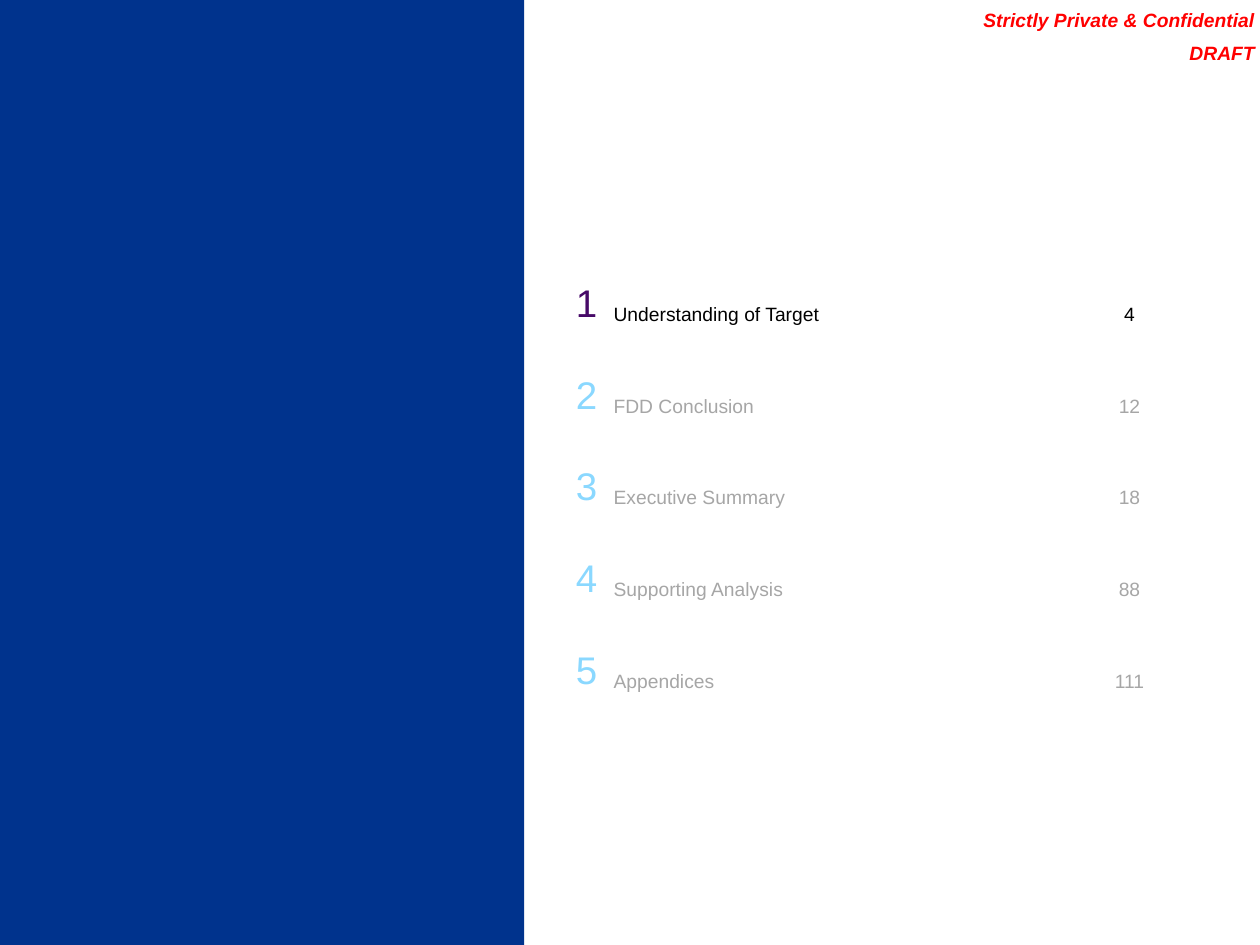
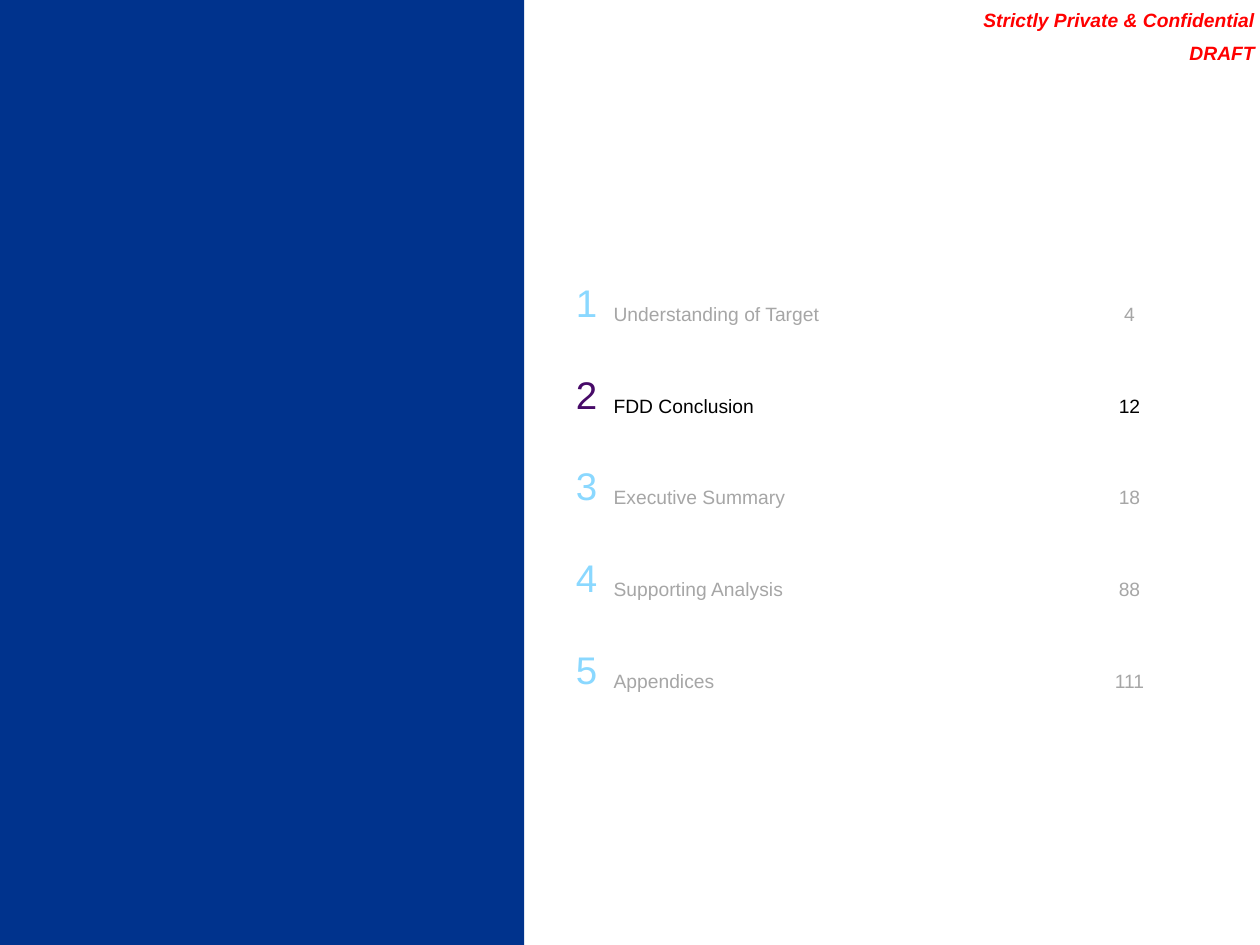
from typing import Any, NamedTuple

import pptx
import pptx.dml.color
import pptx.enum.shapes
import pptx.enum.text
import pptx.util

ALIGN = pptx.enum.text.PP_ALIGN
ANCHOR = pptx.enum.text.MSO_ANCHOR
FONT = "Arial"
WIDTH, HEIGHT = pptx.util.Inches(10), pptx.util.Inches(7.5)
COLS, ROWS = 100, 75

NAVY, RED, WHITE = "00338D", "FF0000", "FFFFFF"
PURPLE, SKY = "470A68", "8AD8FF"
BLACK, GRAY = "000000", "A6A6A6"

BAND_COLS = 41.6
NOTICE = ("Strictly Private & Confidential", "DRAFT")
AGENDA_LEFT, AGENDA_TOP, AGENDA_ROW = 43.1, 20.5, 7.28


class Column(NamedTuple):
    width: float
    insets: tuple[float, float, float, float]
    align: Any
    size: int
    active: str
    muted: str


class Topic(NamedTuple):
    title: str
    page: int


COLUMNS = (
    Column(5.2, (0.9, 0.5, 0.9, 0.5), ALIGN.RIGHT, 22, PURPLE, SKY),
    Column(38.9, (0.4, 2.2, 0, 0.5), ALIGN.LEFT, 11, BLACK, GRAY),
    Column(4.9, (0.9, 2.2, 0.9, 0.5), ALIGN.CENTER, 11, BLACK, GRAY),
)
TOPICS = (
    Topic("Understanding of Target", 4),
    Topic("FDD Conclusion", 12),
    Topic("Executive Summary", 18),
    Topic("Supporting Analysis", 88),
    Topic("Appendices", 111),
)


def color(code: str) -> pptx.dml.color.RGBColor:
    return pptx.dml.color.RGBColor.from_string(code)


def across(cols: float) -> int:
    return round(WIDTH * cols / COLS)


def down(rows: float) -> int:
    return round(HEIGHT * rows / ROWS)


def inset(holder: Any, sides: tuple[float, float, float, float]) -> None:
    """Set left, top, right and bottom margins of a cell or text frame."""
    left, top, right, bottom = sides
    margins = {
        "margin_left": across(left),
        "margin_top": down(top),
        "margin_right": across(right),
        "margin_bottom": down(bottom),
    }
    for name, value in margins.items():
        setattr(holder, name, value)


def write(para: Any, text: str, align: Any, code: str, **style: Any) -> None:
    para.alignment = align
    run = para.add_run()
    run.text = text
    run.font.color.rgb = color(code)
    for name, value in {"name": FONT, **style}.items():
        setattr(run.font, name, value)


def draw_band(slide: Any) -> None:
    band = slide.shapes.add_shape(
        pptx.enum.shapes.MSO_SHAPE.RECTANGLE, 0, 0, across(BAND_COLS), HEIGHT
    )
    band.shadow.inherit = False
    band.fill.solid()
    band.fill.fore_color.rgb = color(NAVY)
    band.line.fill.background()


def draw_notice(slide: Any) -> None:
    box = slide.shapes.add_textbox(across(75), 0, across(25), down(5.5))
    frame = box.text_frame
    frame.word_wrap = True
    frame.vertical_anchor = ANCHOR.BOTTOM
    inset(frame, (0, 0.4, 0.4, 0.4))
    for order, line in enumerate(NOTICE):
        para = frame.add_paragraph() if order else frame.paragraphs[0]
        if order:
            para.space_before = pptx.util.Pt(5.5)
        write(para, line, ALIGN.RIGHT, RED,
              size=pptx.util.Pt(11), bold=True, italic=True)


def draw_agenda(slide: Any, current: int) -> None:
    """List all topics, with the current one in strong colours."""
    table = slide.shapes.add_table(
        len(TOPICS), len(COLUMNS), across(AGENDA_LEFT), down(AGENDA_TOP),
        across(sum(column.width for column in COLUMNS)),
        down(AGENDA_ROW * len(TOPICS)),
    ).table
    table.first_row = table.horz_banding = False
    for index, column in enumerate(COLUMNS):
        table.columns[index].width = across(column.width)
    for row, topic in enumerate(TOPICS):
        table.rows[row].height = down(AGENDA_ROW)
        texts = (str(row + 1), topic.title, str(topic.page))
        for index, (column, text) in enumerate(zip(COLUMNS, texts)):
            cell = table.cell(row, index)
            cell.fill.background()
            cell.vertical_anchor = ANCHOR.MIDDLE
            inset(cell, column.insets)
            code = column.active if row == current else column.muted
            write(cell.text_frame.paragraphs[0], text, column.align, code,
                  size=pptx.util.Pt(column.size))


def add_divider(deck: Any, current: int) -> None:
    slide = deck.slides.add_slide(deck.slide_layouts[6])
    slide.background.fill.solid()
    slide.background.fill.fore_color.rgb = color(WHITE)
    draw_band(slide)
    draw_notice(slide)
    draw_agenda(slide, current)


def main() -> None:
    deck = pptx.Presentation()
    deck.slide_width, deck.slide_height = WIDTH, HEIGHT
    for current in range(2):
        add_divider(deck, current)
    deck.save("out.pptx")


if __name__ == "__main__":
    main()
